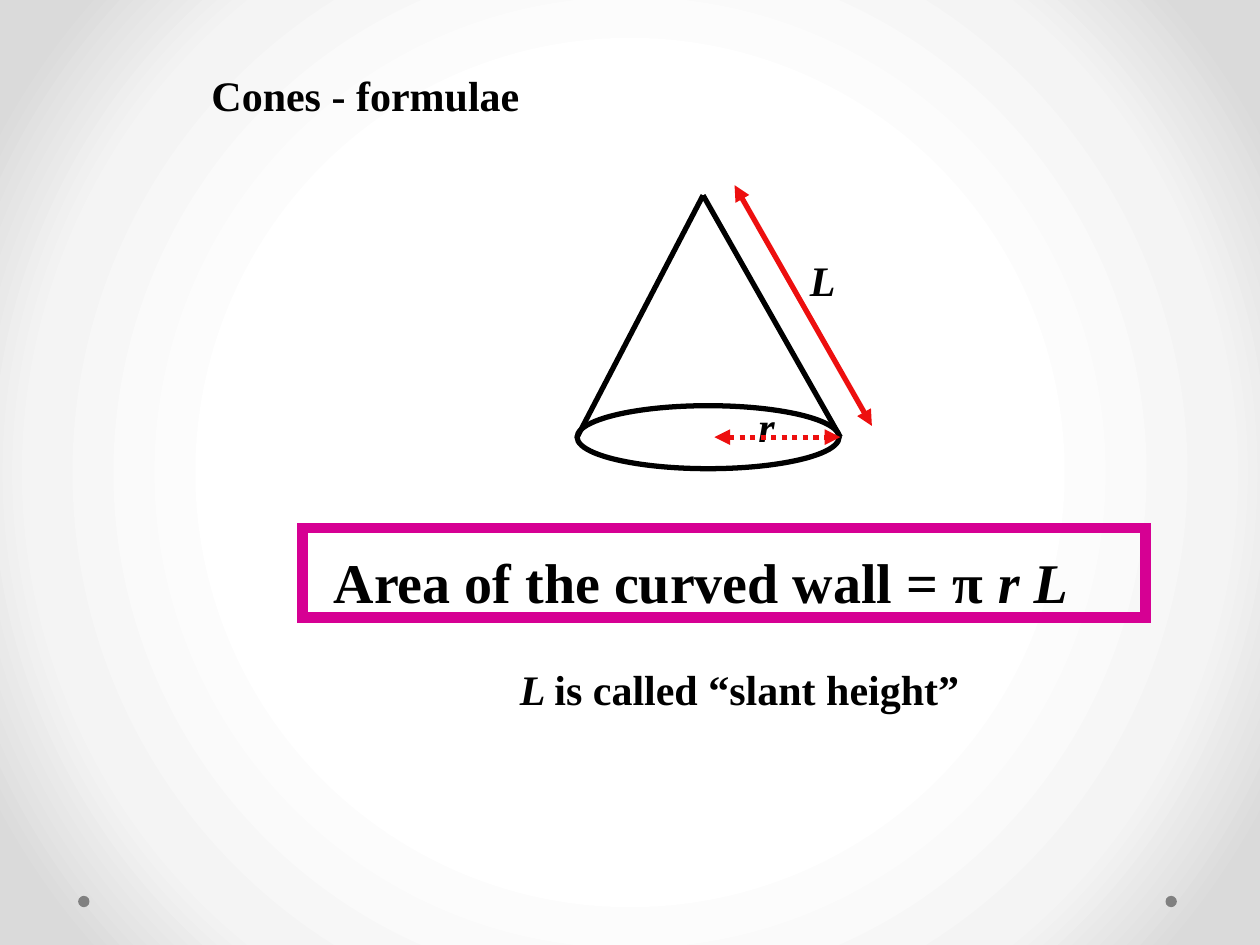
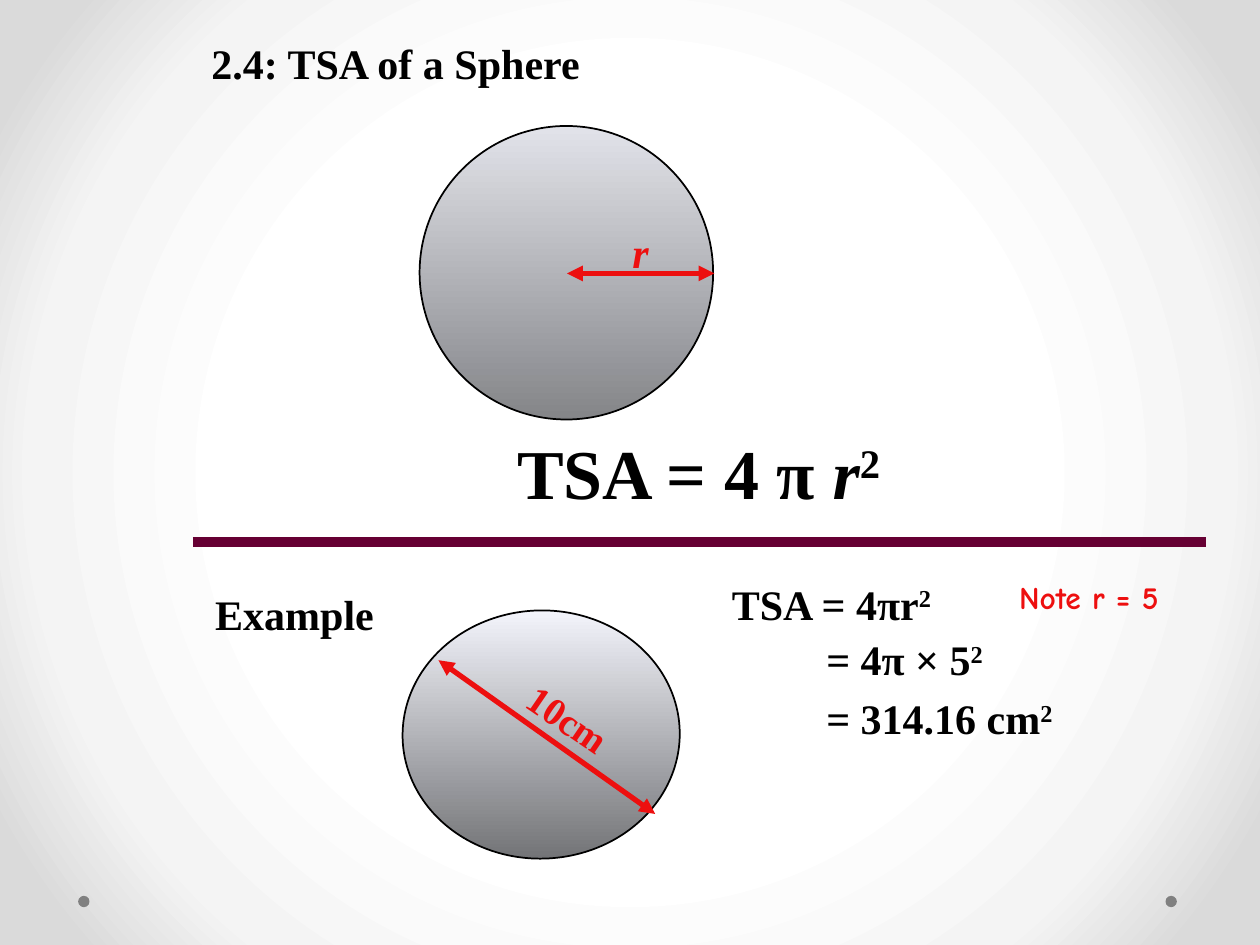
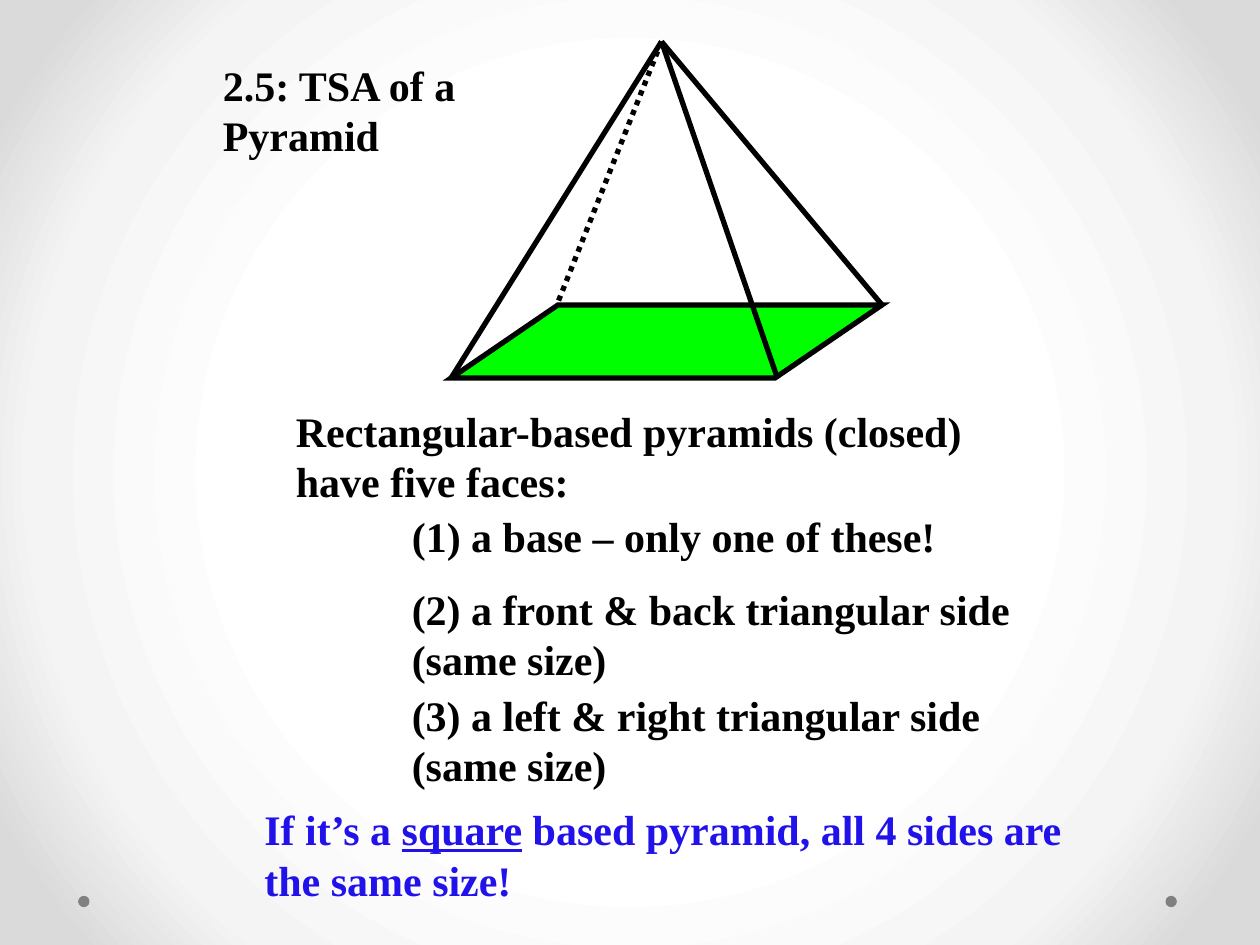
"""Build three slides on the surface area of cones, spheres and pyramids."""
from dataclasses import dataclass

from lxml import etree
from pptx import Presentation
from pptx.dml.color import RGBColor
from pptx.enum.dml import MSO_LINE
from pptx.enum.shapes import MSO_CONNECTOR, MSO_SHAPE
from pptx.enum.text import MSO_AUTO_SIZE, PP_ALIGN
from pptx.oxml.ns import qn
from pptx.util import Inches, Pt

OVAL = MSO_SHAPE.OVAL
RECTANGLE = MSO_SHAPE.RECTANGLE
PARALLELOGRAM = MSO_SHAPE.PARALLELOGRAM
STRAIGHT = MSO_CONNECTOR.STRAIGHT
DOTTED = MSO_LINE.ROUND_DOT
CENTER = PP_ALIGN.CENTER
LEFT = PP_ALIGN.LEFT
GROW = MSO_AUTO_SIZE.SHAPE_TO_FIT_TEXT


@dataclass(frozen=True)
class Theme:
    """Colours, fonts and type sizes shared by all slides."""
    ink: str = "000000"
    measure: str = "ED0F0F"
    frame: str = "D60093"
    divider: str = "660033"
    base: str = "00FF00"
    remark: str = "2112EA"
    dot: str = "808080"
    backdrop: tuple = ((50, "FFFFFF"), (76, "F4F4F4"), (92, "DADADA"))
    sphere: tuple = ((0, "F5F6FD"), (100, "717275"))
    font: str = "Times New Roman"
    note_font: str = "Comic Neue"
    note: int = 18
    label: int = 22
    body: int = 24
    formula: int = 32
    headline: int = 40
    thin: int = 1
    line: int = 3
    thick: int = 6


THEME = Theme()


def add_element(parent, tag, **attributes):
    """Append a drawing element and return it."""
    return etree.SubElement(parent, qn(tag), **attributes)


def set_gradient(root, stops, radial=False):
    """Rewrite the gradient below root with the given stops."""
    gradient = root.find(".//" + qn("a:gradFill"))
    for child in list(gradient):
        gradient.remove(child)
    gradient.set("rotWithShape", "0")
    stop_list = add_element(gradient, "a:gsLst")
    for position, color in stops:
        stop = add_element(stop_list, "a:gs", pos=str(position * 1000))
        add_element(stop, "a:srgbClr", val=color)
    if radial:
        circle = add_element(gradient, "a:path", path="circle")
        add_element(circle, "a:fillToRect", l="50000", t="50000", r="50000", b="50000")
    else:
        add_element(gradient, "a:lin", ang="5400000", scaled="0")


class Deck:
    """Hold the presentation, its style and the current slide."""

    def __init__(self, theme):
        """Create the presentation and its shared background."""
        self.theme = theme
        self.slide = None
        self.presentation = Presentation()
        self.presentation.slide_width = Inches(10)
        self.presentation.slide_height = Inches(7.5)
        master = self.presentation.slide_master
        master.background.fill.gradient()
        set_gradient(master.element, theme.backdrop, radial=True)

    def new_slide(self):
        """Start a blank slide with its two footer dots."""
        layout = self.presentation.slide_layouts[6]
        self.slide = self.presentation.slides.add_slide(layout)
        for left in (9.25, 0.62):
            self.shape(OVAL, left, 7.11, 0.09, 0.09, fill=self.theme.dot)

    def shape(self, kind, left, top, width, height, fill=None, line=None, weight=THEME.line):
        """Add a preset shape."""
        shape = self.slide.shapes.add_shape(
            kind, Inches(left), Inches(top), Inches(width), Inches(height))
        shape.shadow.inherit = False
        if fill:
            shape.fill.solid()
            shape.fill.fore_color.rgb = RGBColor.from_string(fill)
        else:
            shape.fill.background()
        if line:
            shape.line.color.rgb = RGBColor.from_string(line)
            shape.line.width = Pt(weight)
            add_element(shape.line._get_or_add_ln(), "a:miter", lim="800000")
        else:
            shape.line.fill.background()
        return shape

    def sphere(self, left, top, width, height, rotation):
        """Add a shaded ball."""
        sphere = self.shape(OVAL, left, top, width, height,
                            line=self.theme.ink, weight=self.theme.thin)
        sphere.fill.gradient()
        set_gradient(sphere.element, self.theme.sphere)
        sphere.rotation = rotation
        return sphere

    def line(self, start, end, color=THEME.ink, weight=THEME.line, dotted=False, arrows=False):
        """Add a straight line, with arrowheads at both ends if asked."""
        points = [Inches(value) for value in (*start, *end)]
        connector = self.slide.shapes.add_connector(STRAIGHT, *points)
        connector.line.color.rgb = RGBColor.from_string(color)
        connector.line.width = Pt(weight)
        if dotted:
            connector.line.dash_style = DOTTED
        if arrows:
            for tag in ("a:headEnd", "a:tailEnd"):
                add_element(connector.line._get_or_add_ln(), tag, type="triangle")
        add_element(connector.element.spPr, "a:effectLst")
        return connector

    def measure(self, start, end, dotted=False):
        """Add a two-headed dimension arrow."""
        return self.line(start, end, self.theme.measure, dotted=dotted, arrows=True)

    def text(self, left, top, width, height, *runs, size=THEME.body, color=THEME.ink,
             font=THEME.font, align=LEFT, indent=0, rotation=0):
        """Add bold text; a run is a string or a (string, style) pair."""
        box = self.slide.shapes.add_textbox(
            Inches(left), Inches(top), Inches(width), Inches(height))
        box.rotation = rotation
        frame = box.text_frame
        frame.word_wrap = True
        frame.auto_size = GROW
        paragraph = frame.paragraphs[0]
        paragraph.alignment = align
        if indent:
            paragraph._p.get_or_add_pPr().set("marL", str(Inches(indent)))
        for item in runs:
            words, style = (item, "") if isinstance(item, str) else item
            run = paragraph.add_run()
            run.text = words
            run.font.name = font
            run.font.size = Pt(size)
            run.font.bold = True
            run.font.color.rgb = RGBColor.from_string(color)
            if style == "italic":
                run.font.italic = True
            elif style == "underline":
                run.font.underline = True
            elif style == "super":
                run._r.get_or_add_rPr().set("baseline", "30000")
        return box

    def group(self, *shapes):
        """Group shapes that form one figure."""
        self.slide.shapes.add_group_shape(shapes)


def build_cone(deck):
    """Build the slide on cones."""
    theme = deck.theme
    apex, rim_left, rim_right = (5.58, 1.55), (4.58, 3.47), (6.67, 3.47)
    deck.new_slide()
    deck.text(1.58, 0.5, 4, 0.5, "Cones - formulae")
    deck.group(
        deck.shape(OVAL, 4.58, 3.22, 2.08, 0.5, line=theme.ink),
        deck.line(apex, rim_left),
        deck.line(apex, rim_right),
        deck.text(5.92, 3.13, 0.58, 0.5, ("r", "italic")),
        deck.measure((5.67, 3.47), rim_right, dotted=True),
        deck.text(6.33, 1.97, 1, 0.5, ("L", "italic")),
        deck.measure((5.83, 1.47), (6.92, 3.38)))
    deck.text(2.83, 5.22, 6.08, 0.5, ("L ", "italic"), "is called “slant height”",
              align=CENTER)
    deck.group(
        deck.text(2.55, 4.3, 6.5, 0.63, "Area of the curved wall = π ", ("r L", "italic"),
                  size=theme.formula),
        deck.shape(RECTANGLE, 2.4, 4.19, 6.69, 0.71, line=theme.frame, weight=theme.thick))


def build_sphere(deck):
    """Build the slide on spheres with its worked example."""
    theme = deck.theme
    squared = ("2", "super")
    deck.new_slide()
    deck.text(1.58, 0.25, 3.17, 0.5, "2.4: TSA of a Sphere")
    deck.text(2.42, 3.36, 6.25, 0.77, "TSA = 4 π ", ("r", "italic"), squared,
              size=theme.headline, align=CENTER)
    deck.group(
        deck.sphere(3.33, 1, 2.33, 2.33, 53.9),
        deck.text(4.92, 1.75, 0.67, 0.5, ("r", "italic"), color=theme.measure),
        deck.measure((4.5, 2.17), (5.67, 2.17)))
    deck.group(
        deck.sphere(3.31, 4.73, 1.97, 2.2, 88.4),
        deck.text(4.06, 5.48, 0.93, 0.47, "10cm", size=theme.label, color=theme.measure,
                  rotation=34.4),
        deck.measure((3.48, 5.24), (5.2, 6.46)))
    deck.text(1.61, 4.62, 1.57, 0.5, "Example")
    deck.line((1.53, 4.3), (9.57, 4.3), theme.divider, theme.thick)
    deck.text(5.71, 4.54, 2.05, 0.5, "TSA = 4πr", squared)
    deck.text(7.99, 4.54, 1.81, 0.4, "Note r = 5", size=theme.note, color=theme.measure,
              font=theme.note_font)
    for top, width, step in ((4.98, 2.36, "= 4π × 5"), (5.45, 3.07, "= 314.16 cm")):
        deck.text(5.71, top, width, 0.5, step, squared, indent=0.75)


def build_pyramid(deck):
    """Build the slide on pyramids."""
    theme = deck.theme
    apex = (5.25, 0.33)
    deck.new_slide()
    deck.text(1.67, 0.42, 3, 0.9, "2.5: TSA of a Pyramid")
    base = deck.shape(PARALLELOGRAM, 3.58, 2.42, 3.42, 0.58, fill=theme.base, line=theme.ink)
    base.adjustments[0] = 1.464
    edges = [deck.line(apex, corner) for corner in ((3.58, 3), (6.17, 3), (7, 2.42))]
    hidden_edge = deck.line(apex, (4.42, 2.42), dotted=True)
    deck.group(base, *edges, hidden_edge)
    deck.text(2.25, 3.17, 6.08, 0.9, "Rectangular-based pyramids (closed) have five faces:")
    faces = (
        (4, 4.75, 0.5, "(1) a base – only one of these!"),
        (4.58, 5.33, 0.9, "(2) a front & back triangular side (same size)"),
        (5.42, 4.83, 0.9, "(3) a left & right triangular side (same size)"))
    for top, width, height, face in faces:
        deck.text(3.17, top, width, height, face)
    deck.text(2, 6.33, 6.58, 0.9, "If it’s a ", ("square", "underline"),
              " based pyramid, all 4 sides are the same size!", color=theme.remark)


def main():
    """Build all slides and save them."""
    deck = Deck(THEME)
    build_cone(deck)
    build_sphere(deck)
    build_pyramid(deck)
    deck.presentation.save("out.pptx")


if __name__ == "__main__":
    main()
